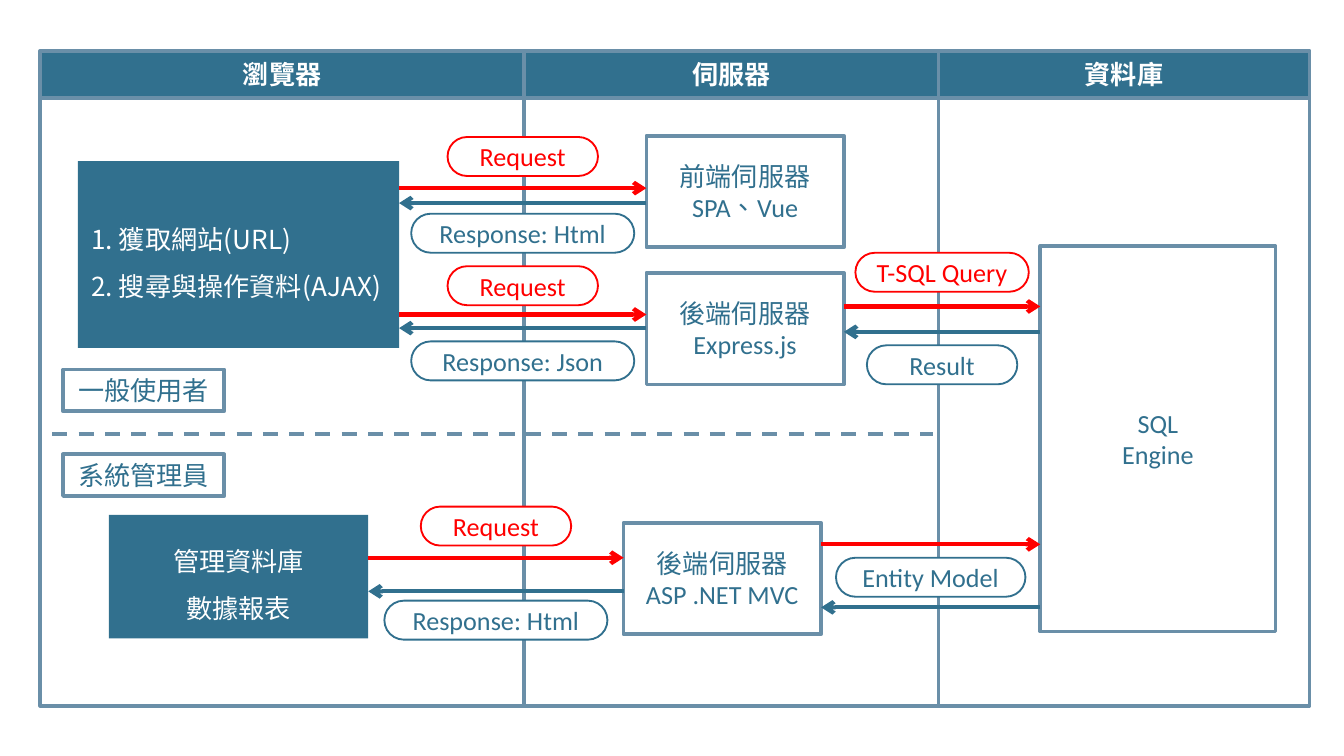
from lxml import etree
from pptx import Presentation
from pptx.dml.color import RGBColor
from pptx.enum.dml import MSO_LINE
from pptx.enum.lang import MSO_LANGUAGE_ID
from pptx.enum.shapes import MSO_CONNECTOR, MSO_SHAPE
from pptx.enum.text import MSO_ANCHOR, PP_ALIGN
from pptx.oxml.ns import qn
from pptx.util import Pt

TEAL = RGBColor(0x31, 0x70, 0x8E)
STEEL = RGBColor(0x6A, 0x8F, 0xA8)
RED = RGBColor(0xFF, 0x00, 0x00)
WHITE = RGBColor(0xFF, 0xFF, 0xFF)

LATIN_FONT = "Calibri"
CHINESE_FONT = "Noto Sans CJK SC"
FONT_SIZE = Pt(14)
RECTANGLE = MSO_SHAPE.RECTANGLE
PILL = MSO_SHAPE.ROUNDED_RECTANGLE
STRAIGHT = MSO_CONNECTOR.STRAIGHT
CENTER = PP_ALIGN.CENTER
LEFT = PP_ALIGN.LEFT
MIDDLE = MSO_ANCHOR.MIDDLE
DASH = MSO_LINE.DASH
TRADITIONAL_CHINESE = MSO_LANGUAGE_ID.TRADITIONAL_CHINESE

HEADER_HEIGHT = 25.2
SERVER_SIZE = (105.8, 59.8)
TAG_SIZE = (86.4, 22.3)
PILL_HEIGHT = 20.9
REQUEST_WIDTH = 80.6
RESPONSE_WIDTH = 119.5


def add_text(shape, lines, color, align=CENTER, bold=False, spacing=None):
    frame = shape.text_frame
    frame.word_wrap = True
    frame.vertical_anchor = MIDDLE
    for index, (text, font_name) in enumerate(lines):
        paragraph = frame.paragraphs[0] if index == 0 else frame.add_paragraph()
        paragraph.alignment = align
        if spacing:
            paragraph.line_spacing = spacing
        run = paragraph.add_run()
        run.text = text
        font = run.font
        font.size = FONT_SIZE
        font.bold = bold
        font.color.rgb = color
        font.language_id = TRADITIONAL_CHINESE
        font.name = font_name
        latin = run._r.rPr.find(qn("a:latin"))
        east_asian = etree.Element(qn("a:ea"), typeface=CHINESE_FONT)
        latin.addnext(east_asian)


def add_box(slide, box, fill=None, line=STEEL, width=2, kind=RECTANGLE):
    shape = slide.shapes.add_shape(kind, *(Pt(value) for value in box))
    shape.shadow.inherit = False
    if fill is None:
        shape.fill.background()
    else:
        shape.fill.solid()
        shape.fill.fore_color.rgb = fill
    if line is None:
        shape.line.fill.background()
    else:
        shape.line.color.rgb = line
        shape.line.width = Pt(width)
    return shape


def add_line(slide, start, end, y, color, width):
    connector = slide.shapes.add_connector(STRAIGHT, Pt(start), Pt(y), Pt(end), Pt(y))
    connector.line.color.rgb = color
    connector.line.width = Pt(width)
    etree.SubElement(connector._element.spPr, qn("a:effectLst"))
    return connector


def add_arrow(slide, start, end, y, color):
    connector = add_line(slide, start, end, y, color, 2.25)
    line = connector.line._get_or_add_ln()
    etree.SubElement(line, qn("a:tailEnd"), type="arrow")


def draw_exchange(slide, left, right, request_y, response_y, labels):
    add_arrow(slide, left, right, request_y, RED)
    add_arrow(slide, right, left, response_y, TEAL)
    for text, width, top, color in labels:
        box = ((left + right - width) / 2, top, width, PILL_HEIGHT)
        pill = add_box(slide, box, WHITE, color, 1, PILL)
        pill.adjustments[0] = 0.5
        add_text(pill, [(text, LATIN_FONT)], color)


def draw_column(slide, box, title):
    left, top, width, height = box
    add_box(slide, (left, top + HEADER_HEIGHT, width, height - HEADER_HEIGHT))
    header = add_box(slide, (left, top, width, HEADER_HEIGHT), TEAL)
    add_text(header, [(title, CHINESE_FONT)], WHITE, bold=True)


def draw_tag(slide, left, top, text):
    tag = add_box(slide, (left, top, *TAG_SIZE))
    tag.text_frame.margin_left = tag.text_frame.margin_right = 0
    add_text(tag, [(text, CHINESE_FONT)], TEAL)


def draw_server(slide, left, top, name, technology):
    server = add_box(slide, (left, top, *SERVER_SIZE))
    add_text(server, [(name, CHINESE_FONT), (technology, LATIN_FONT)], TEAL)


def draw_client(slide, box, lines, align):
    client = add_box(slide, box, TEAL, None)
    add_text(client, [(line, CHINESE_FONT) for line in lines], WHITE, align, spacing=1.5)


def draw_user_lane(slide, box):
    left, top, width, height = box
    right = left + width
    client_right = left + 192.2
    server_left = left + 324.7
    draw_client(slide, (left + 20.2, top + 34.6, 172, 100),
                ["1. 獲取網站(URL)", "2. 搜尋與操作資料(AJAX)"], LEFT)
    draw_tag(slide, left + 12.2, top + height - 34.6, "一般使用者")
    servers = [
        (20.9, "前端伺服器", "SPA、Vue", 49, 57, 21.6, 62.7, "Html"),
        (94.4, "後端伺服器", "Express.js", 116.7, 124, 90.8, 131.1, "Json"),
    ]
    for offset, name, technology, request, response, above, below, reply in servers:
        draw_server(slide, server_left, top + offset, name, technology)
        draw_exchange(slide, client_right, server_left, top + request, top + response, [
            ("Request", REQUEST_WIDTH, top + above, RED),
            (f"Response: {reply}", RESPONSE_WIDTH, top + below, TEAL),
        ])
    draw_exchange(slide, server_left + SERVER_SIZE[0], right, top + 112.4, top + 126, [
        ("T-SQL Query", 92.9, top + 83.6, RED),
        ("Result", REQUEST_WIDTH, top + 133.2, TEAL),
    ])


def draw_admin_lane(slide, box):
    left, top, width, height = box
    right = left + width
    client_right = left + 175.7
    server_left = left + 312.5
    divider = add_line(slide, left + 6.5, left + 478, top, STEEL, 2)
    divider.line.dash_style = DASH
    draw_tag(slide, left + 12.2, top + 10.8, "系統管理員")
    draw_client(slide, (left + 36.7, top + 43.2, 139, 66.2),
                ["管理資料庫", "數據報表"], CENTER)
    draw_server(slide, server_left, top + 47.5, "後端伺服器", "ASP .NET MVC")
    draw_exchange(slide, client_right, server_left, top + 66.2, top + 84.2, [
        ("Request", REQUEST_WIDTH, top + 38.8, RED),
        ("Response: Html", RESPONSE_WIDTH, top + 89.2, TEAL),
    ])
    draw_exchange(slide, server_left + SERVER_SIZE[0], right, top + 59, top + 92.8, [
        ("Entity Model", 101.5, top + 66.2, TEAL),
    ])


def draw_database(slide, box):
    database = add_box(slide, box)
    add_text(database, [("SQL", LATIN_FONT), ("Engine", LATIN_FONT)], TEAL)


def main():
    presentation = Presentation()
    presentation.slide_width = Pt(720)
    presentation.slide_height = Pt(405)
    slide = presentation.slides.add_slide(presentation.slide_layouts[6])

    left, top, height = 21.6, 27.2, 351
    column_left = left
    for title, width in [("瀏覽器", 259.2), ("伺服器", 222), ("資料庫", 198.7)]:
        draw_column(slide, (column_left, top, width, height), title)
        column_left += width

    lane_width = 535.7
    body_top = 51.8
    lane_split = 232.6
    draw_database(slide, (left + lane_width, 131.8, 126, 206.6))
    draw_user_lane(slide, (left, body_top, lane_width, lane_split - body_top))
    draw_admin_lane(slide, (left, lane_split, lane_width, top + height - lane_split))
    presentation.save("out.pptx")


if __name__ == "__main__":
    main()
